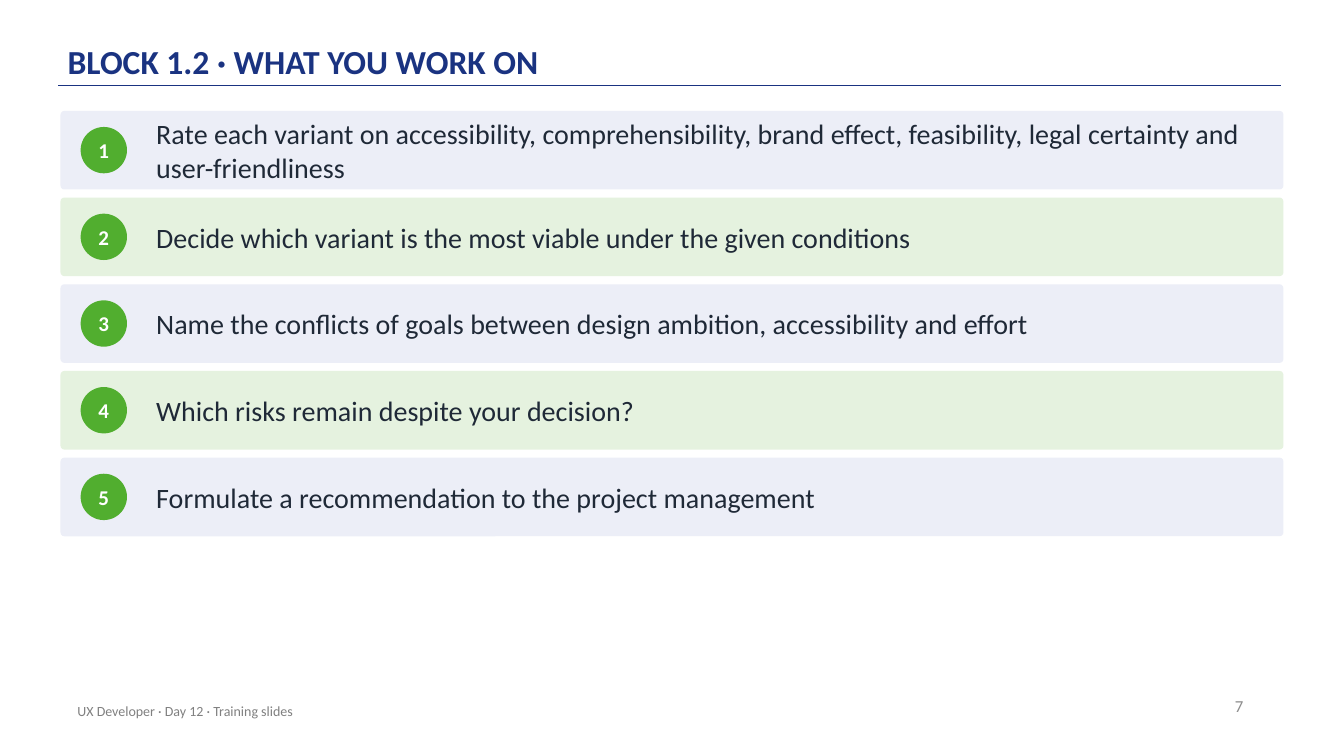
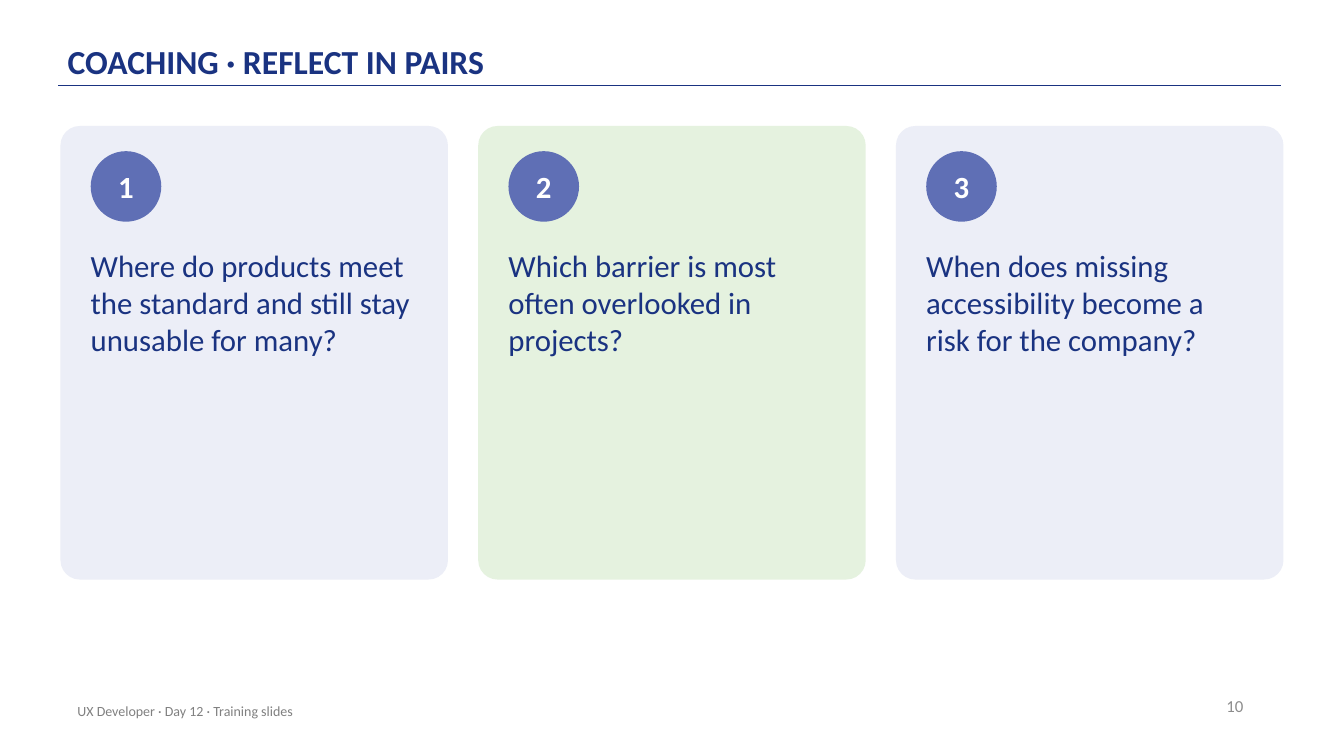
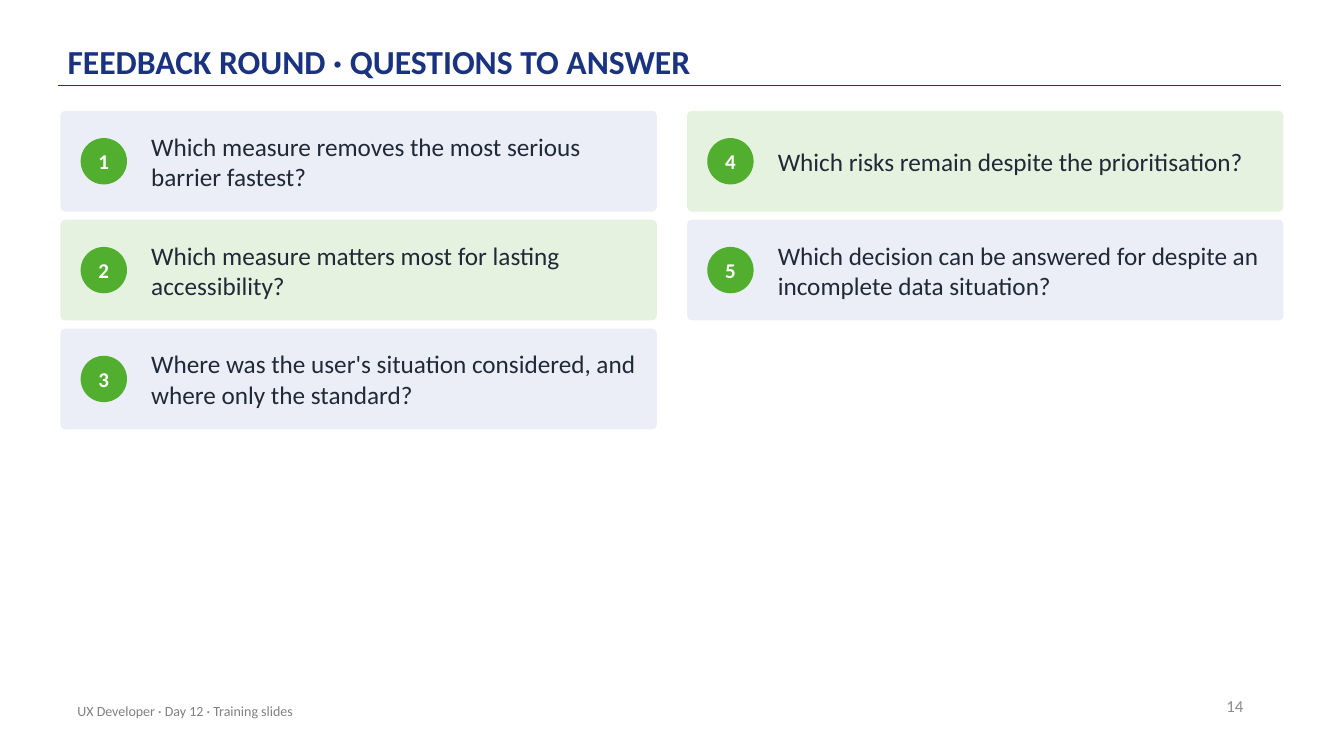
"""Build three training slides with numbered tasks and questions."""
from dataclasses import dataclass

from lxml.etree import SubElement
from pptx import Presentation
from pptx.dml.color import RGBColor
from pptx.enum.shapes import MSO_CONNECTOR, MSO_SHAPE
from pptx.enum.text import MSO_ANCHOR as Anchor, MSO_AUTO_SIZE, PP_ALIGN as Align
from pptx.oxml.ns import qn
from pptx.presentation import Presentation as Deck
from pptx.slide import Slide
from pptx.text.text import TextFrame
from pptx.util import Inches, Pt


@dataclass(frozen=True)
class Theme:
    font: str = "Calibri"
    navy: str = "1A3381"
    indigo: str = "5F6FB5"
    green: str = "51AE2F"
    ink: str = "1F2937"
    white: str = "FFFFFF"
    footer_gray: str = "808080"
    number_gray: str = "8C8C8C"
    panel_fills: tuple[str, ...] = ("ECEEF7", "E5F2DF")
    title_size: int = 24
    card_size: int = 22
    row_size: int = 20
    column_size: int = 18
    badge_size: int = 15
    number_size: int = 12
    footer_size: int = 10


THEME = Theme()
FOOTER = "UX Developer · Day 12 · Training slides"
CONTENT_LEFT = 0.6
CONTENT_WIDTH = 12.13
COLUMN_GAP = 0.3
ROW_GAP = 0.08


@dataclass(frozen=True)
class Box:
    left: float
    top: float
    width: float
    height: float

    def lengths(self) -> tuple[Inches, ...]:
        return tuple(Inches(value) for value in (self.left, self.top, self.width, self.height))


@dataclass(frozen=True)
class TextStyle:
    size: int
    color: str
    bold: bool = False
    align: Align = Align.LEFT
    anchor: Anchor = Anchor.MIDDLE


@dataclass(frozen=True)
class PanelStyle:
    columns: int
    rows: int
    top: float
    height: float
    badge_left: float
    badge_top: float
    badge_diameter: float
    badge_fill: str
    badge_points: int
    text_left: float
    text_right: float
    text: TextStyle
    text_top: float = 0
    text_bottom: float = 0


@dataclass(frozen=True)
class Page:
    title: str
    number: int
    style: PanelStyle
    items: tuple[str, ...]


ROWS = PanelStyle(
    columns=1, rows=5, top=1.1, height=0.78,
    badge_left=0.2, badge_top=0.16, badge_diameter=0.46,
    badge_fill=THEME.green, badge_points=THEME.badge_size,
    text_left=0.95, text_right=0.25, text=TextStyle(THEME.row_size, THEME.ink),
)
CARDS = PanelStyle(
    columns=3, rows=1, top=1.25, height=4.5,
    badge_left=0.3, badge_top=0.25, badge_diameter=0.7,
    badge_fill=THEME.indigo, badge_points=THEME.card_size,
    text_left=0.3, text_right=0.3, text_top=1.2, text_bottom=0.2,
    text=TextStyle(THEME.card_size, THEME.navy, anchor=Anchor.TOP),
)
TWO_COLUMNS = PanelStyle(
    columns=2, rows=3, top=1.1, height=1,
    badge_left=0.2, badge_top=0.27, badge_diameter=0.46,
    badge_fill=THEME.green, badge_points=THEME.badge_size,
    text_left=0.9, text_right=0.2, text=TextStyle(THEME.column_size, THEME.ink),
)

PAGES = (
    Page("BLOCK 1.2 · WHAT YOU WORK ON", 7, ROWS, (
        "Rate each variant on accessibility, comprehensibility, brand effect, "
        "feasibility, legal certainty and user-friendliness",
        "Decide which variant is the most viable under the given conditions",
        "Name the conflicts of goals between design ambition, accessibility and effort",
        "Which risks remain despite your decision?",
        "Formulate a recommendation to the project management",
    )),
    Page("COACHING · REFLECT IN PAIRS", 10, CARDS, (
        "Where do products meet the standard and still stay unusable for many?",
        "Which barrier is most often overlooked in projects?",
        "When does missing accessibility become a risk for the company?",
    )),
    Page("FEEDBACK ROUND · QUESTIONS TO ANSWER", 14, TWO_COLUMNS, (
        "Which measure removes the most serious barrier fastest?",
        "Which measure matters most for lasting accessibility?",
        "Where was the user's situation considered, and where only the standard?",
        "Which risks remain despite the prioritisation?",
        "Which decision can be answered for despite an incomplete data situation?",
    )),
)


def write_text(text_frame: TextFrame, text: str, style: TextStyle,
               margin_x: float = 0, margin_y: float = 0) -> None:
    text_frame.text = text
    text_frame.word_wrap = True
    text_frame.auto_size = MSO_AUTO_SIZE.NONE
    text_frame.vertical_anchor = style.anchor
    text_frame.margin_left = text_frame.margin_right = Inches(margin_x)
    text_frame.margin_top = text_frame.margin_bottom = Inches(margin_y)
    paragraph = text_frame.paragraphs[0]
    paragraph.alignment = style.align
    font = paragraph.runs[0].font
    font.name = THEME.font
    font.size = Pt(style.size)
    font.bold = style.bold
    font.color.rgb = RGBColor.from_string(style.color)


def add_text(slide: Slide, box: Box, text: str, style: TextStyle,
             margin_x: float = 0, margin_y: float = 0) -> None:
    text_box = slide.shapes.add_textbox(*box.lengths())
    write_text(text_box.text_frame, text, style, margin_x, margin_y)


def add_filled_shape(slide: Slide, kind: MSO_SHAPE, box: Box, fill: str):
    shape = slide.shapes.add_shape(kind, *box.lengths())
    shape.shadow.inherit = False
    shape.fill.solid()
    shape.fill.fore_color.rgb = RGBColor.from_string(fill)
    shape.line.fill.background()
    return shape


def add_frame(slide: Slide, page: Page) -> None:
    rule = slide.shapes.add_connector(
        MSO_CONNECTOR.STRAIGHT, Inches(0.58), Inches(0.85), Inches(12.71), Inches(0.85))
    rule.line.color.rgb = RGBColor.from_string(THEME.navy)
    rule.line.width = Pt(1)
    SubElement(rule._element.spPr, qn("a:effectLst"))

    title = slide.shapes.title
    title.left, title.top, title.width, title.height = Box(0.67, 0.12, 11, 0.72).lengths()
    title_style = TextStyle(THEME.title_size, THEME.navy, bold=True, anchor=Anchor.BOTTOM)
    write_text(title.text_frame, page.title, title_style, margin_y=0.03)
    title.text_frame.paragraphs[0].line_spacing = 0.9

    number_style = TextStyle(THEME.number_size, THEME.number_gray, align=Align.RIGHT)
    add_text(slide, Box(9.43, 6.8, 3, 0.4), str(page.number), number_style, 0.1, 0.05)
    footer_style = TextStyle(THEME.footer_size, THEME.footer_gray)
    add_text(slide, Box(0.67, 6.85, 6.7, 0.4), FOOTER, footer_style, 0.1, 0.05)


def add_panel(slide: Slide, style: PanelStyle, index: int, text: str) -> None:
    column, row = divmod(index, style.rows)
    width = (CONTENT_WIDTH - COLUMN_GAP * (style.columns - 1)) / style.columns
    left = CONTENT_LEFT + column * (width + COLUMN_GAP)
    top = style.top + row * (style.height + ROW_GAP)

    fill = THEME.panel_fills[index % len(THEME.panel_fills)]
    panel = add_filled_shape(
        slide, MSO_SHAPE.ROUNDED_RECTANGLE, Box(left, top, width, style.height), fill)
    panel.adjustments[0] = 0.05

    badge_box = Box(left + style.badge_left, top + style.badge_top,
                    style.badge_diameter, style.badge_diameter)
    badge = add_filled_shape(slide, MSO_SHAPE.OVAL, badge_box, style.badge_fill)
    badge_style = TextStyle(style.badge_points, THEME.white, bold=True, align=Align.CENTER)
    write_text(badge.text_frame, str(index + 1), badge_style)

    text_box = Box(left + style.text_left, top + style.text_top,
                   width - style.text_left - style.text_right,
                   style.height - style.text_top - style.text_bottom)
    add_text(slide, text_box, text, style.text)


def add_page(presentation: Deck, page: Page) -> None:
    slide = presentation.slides.add_slide(presentation.slide_layouts.get_by_name("Title Only"))
    add_frame(slide, page)
    for index, text in enumerate(page.items):
        add_panel(slide, page.style, index, text)


def main() -> None:
    presentation = Presentation()
    presentation.slide_width = Inches(13.33)
    presentation.slide_height = Inches(7.5)
    for page in PAGES:
        add_page(presentation, page)
    presentation.save("out.pptx")


if __name__ == "__main__":
    main()
